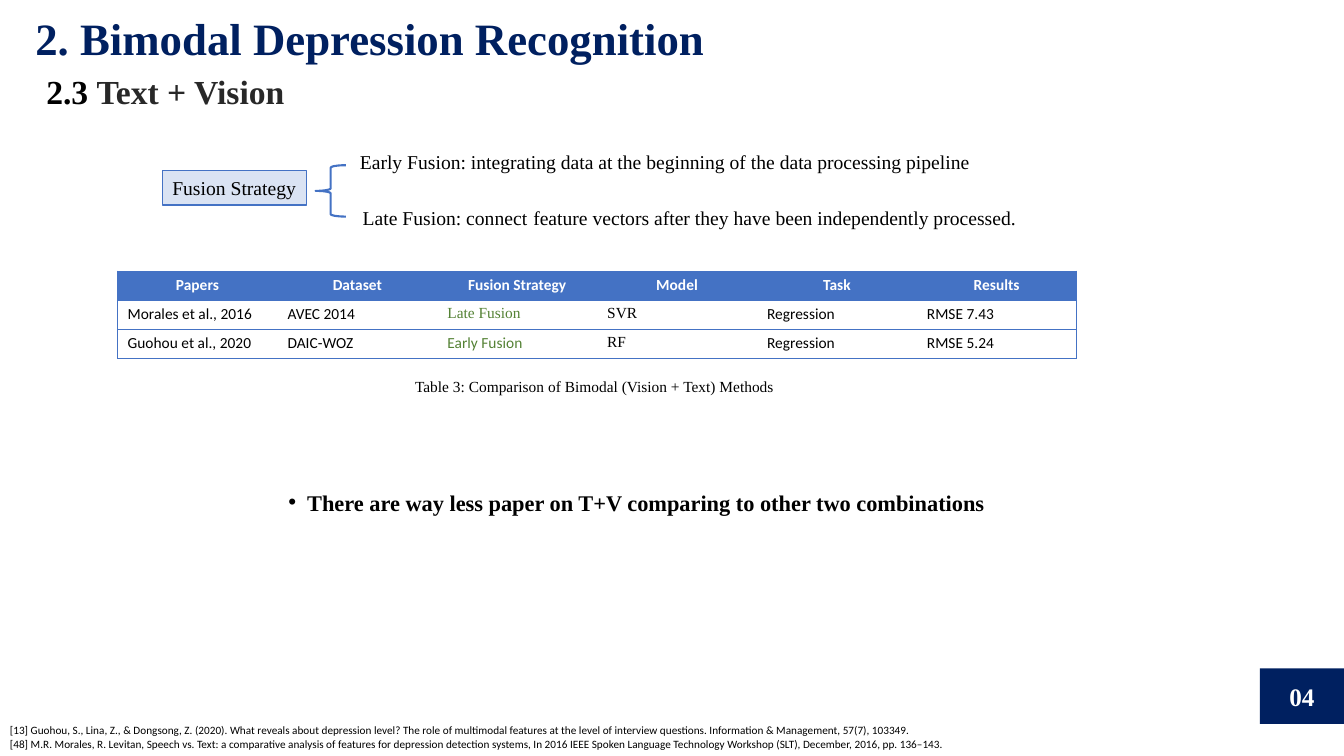
from lxml.etree import SubElement
from pptx import Presentation
from pptx.dml.color import RGBColor
from pptx.enum.shapes import MSO_SHAPE as Preset
from pptx.enum.text import MSO_ANCHOR as Anchor, MSO_AUTO_SIZE as AutoSize, PP_ALIGN as Align
from pptx.oxml.ns import qn
from pptx.util import Pt

COLORS = {
    "navy": "002060",
    "blue": "4472C4",
    "pale": "DAE3F3",
    "green": "548235",
    "gray": "282828",
    "black": "000000",
    "white": "FFFFFF",
}
SERIF, SANS = "Times New Roman", "Calibri"
PLAIN_TABLE = "{2D5ABB26-0587-4C30-8999-92F81FD0307C}"


def rgb(name):
    return RGBColor.from_string(COLORS[name])


class SlideBuilder:
    """Holds the text style and the current slide."""

    def __init__(self, slide, font=SERIF, color="black"):
        self.slide, self.font, self.color = slide, font, color

    def run(self, paragraph, text, size, color=None, bold=False, font=None):
        run = paragraph.add_run()
        run.text = text
        run.font.size, run.font.bold = Pt(size), bold
        run.font.name = font or self.font
        run.font.color.rgb = rgb(color or self.color)

    def fill_text(self, frame, paragraphs, wrap=True, align=Align.LEFT, anchor=Anchor.TOP):
        """Each paragraph is a list of runs; each run is a dict for run()."""
        frame.word_wrap, frame.auto_size = wrap, AutoSize.NONE
        frame.vertical_anchor = anchor
        for index, runs in enumerate(paragraphs):
            paragraph = frame.add_paragraph() if index else frame.paragraphs[0]
            paragraph.alignment = align
            paragraph.space_before = Pt(0)
            for run in runs:
                self.run(paragraph, **run)

    def placeholder(self, holder, box, paragraphs):
        holder.left, holder.top, holder.width, holder.height = map(Pt, box)
        self.fill_text(holder.text_frame, paragraphs)
        return holder.text_frame.paragraphs

    def text(self, box, paragraphs, wrap=True):
        label = self.slide.shapes.add_textbox(*map(Pt, box))
        self.fill_text(label.text_frame, paragraphs, wrap)

    def shape(self, preset, box, fill=None, line=None, weight=0.75, paragraphs=(), **layout):
        shape = self.slide.shapes.add_shape(preset, *map(Pt, box))
        shape.shadow.inherit = False
        if fill:
            shape.fill.solid()
            shape.fill.fore_color.rgb = rgb(fill)
        else:
            shape.fill.background()
        if line:
            shape.line.color.rgb = rgb(line)
            shape.line.width = Pt(weight)
        else:
            shape.line.fill.background()
        self.fill_text(shape.text_frame, paragraphs, **layout)

    def bullet(self, paragraph, indent):
        props = paragraph._p.get_or_add_pPr()
        props.set("marL", str(Pt(indent)))
        props.set("indent", str(-Pt(indent)))
        SubElement(props, qn("a:buFont"), typeface="Arial")
        SubElement(props, qn("a:buChar"), char="•")

    def borders(self, cell, sides, color):
        props = cell._tc.get_or_add_tcPr()
        for side in "LRTB":
            edge = SubElement(props, qn(f"a:ln{side}"), w=str(Pt(0.5)))
            if side in sides:
                paint = SubElement(edge, qn("a:solidFill"))
                SubElement(paint, qn("a:srgbClr"), val=COLORS[color])
            else:
                SubElement(edge, qn("a:noFill"))

    def table(self, left, top, column_width, row_height, rows, cell_styles):
        row_count, column_count = len(rows), len(rows[0])
        frame = self.slide.shapes.add_table(
            row_count, column_count, Pt(left), Pt(top),
            Pt(column_width * column_count), Pt(row_height * row_count))
        table = frame.table
        table._tbl.tblPr.find(qn("a:tableStyleId")).text = PLAIN_TABLE
        table.horz_banding = False
        for column in table.columns:
            column.width = Pt(column_width)
        for r, row in enumerate(rows):
            table.rows[r].height = Pt(row_height)
            for c, value in enumerate(row):
                cell = table.cell(r, c)
                sides = "TB" + "L" * (c == 0) + "R" * (c == column_count - 1)
                self.borders(cell, sides, "blue")
                style = {"font": SANS, "size": 11}
                if r == 0:
                    cell.fill.solid()
                    cell.fill.fore_color.rgb = rgb("blue")
                    style.update(color="white", bold=True)
                else:
                    cell.fill.background()
                    style.update(cell_styles.get(value, {}))
                paragraph = cell.text_frame.paragraphs[0]
                paragraph.alignment = Align.LEFT if r else Align.CENTER
                self.run(paragraph, value, **style)


def main():
    deck = Presentation()
    deck.slide_width, deck.slide_height = Pt(960), Pt(540)
    slide = deck.slides.add_slide(deck.slide_layouts[1])
    page = SlideBuilder(slide)

    # Headings
    heading = page.placeholder(slide.shapes.title, (18, 8.6, 924, 32.4), [[
        dict(text="2. Bimodal Depression Recognition", size=32, color="navy", bold=True)]])
    heading[0].line_spacing = 0.9
    page.text((26, 46.8, 844, 36), [[
        dict(text="2.3 ", size=24, bold=True),
        dict(text="Text + Vision", size=24, color="gray", bold=True)]])

    # Fusion strategies
    page.shape(Preset.RECTANGLE, (116, 122, 103, 24.5), fill="pale", line="blue", wrap=False,
               paragraphs=[[dict(text="Fusion Strategy", size=14)]])
    page.shape(Preset.LEFT_BRACE, (225.4, 118, 21.6, 36.7), line="blue", weight=1.5)
    page.text((250, 103.7, 693, 24.5), [[
        dict(text="Early Fusion: integrating data at the beginning of the data processing pipeline",
             size=14)]])
    page.text((252, 139.7, 489, 29), [[
        dict(text="Late Fusion: connect", size=14),
        dict(text=" ", size=18, font=SANS),
        dict(text="feature vectors after they have been independently processed.", size=14),
    ]], wrap=False)

    # Comparison table and its caption
    page.table(84, 193.5, 114.2, 20.4, [
        ["Papers", "Dataset", "Fusion Strategy", "Model", "Task", "Results"],
        ["Morales et al., 2016", "AVEC 2014", "Late Fusion", "SVR", "Regression", "RMSE 7.43"],
        ["Guohou et al., 2020", "DAIC-WOZ", "Early Fusion", "RF", "Regression", "RMSE 5.24"],
    ], cell_styles={
        "Late Fusion": dict(font=SERIF, color="green"),
        "Early Fusion": dict(color="green"),
        "SVR": dict(font=SERIF),
        "RF": dict(font=SERIF),
    })
    page.text((289.4, 265.7, 518, 21), [[
        dict(text="Table 3: Comparison of Bimodal (Vision + Text) Methods", size=11)]])

    # Finding
    finding = page.placeholder(slide.placeholders[1], (198.7, 345.6, 518, 26.6), [[
        dict(text="There are way less paper on T+V comparing to other two combinations",
             size=16, bold=True)]])
    page.bullet(finding[0], 13.5)

    # Page number
    page.shape(Preset.RECTANGLE, (900, 477.4, 60, 39.6), fill="navy",
               align=Align.CENTER, anchor=Anchor.MIDDLE,
               paragraphs=[[dict(text="04", size=18, color="white", bold=True)]])

    # References
    references = [
        "[13] Guohou, S., Lina, Z., & Dongsong, Z. (2020). What reveals about depression level? "
        "The role of multimodal features at the level of interview questions. "
        "Information & Management, 57(7), 103349.",
        "[48] M.R. Morales, R. Levitan, Speech vs. Text: a comparative analysis of features for "
        "depression detection systems, In 2016 IEEE Spoken Language Technology Workshop (SLT), "
        "December, 2016, pp. 136–143.",
    ]
    page.text((0, 513.4, 793, 26.6),
              [[dict(text=entry, size=8, font=SANS)] for entry in references])

    deck.save("out.pptx")


if __name__ == "__main__":
    main()
